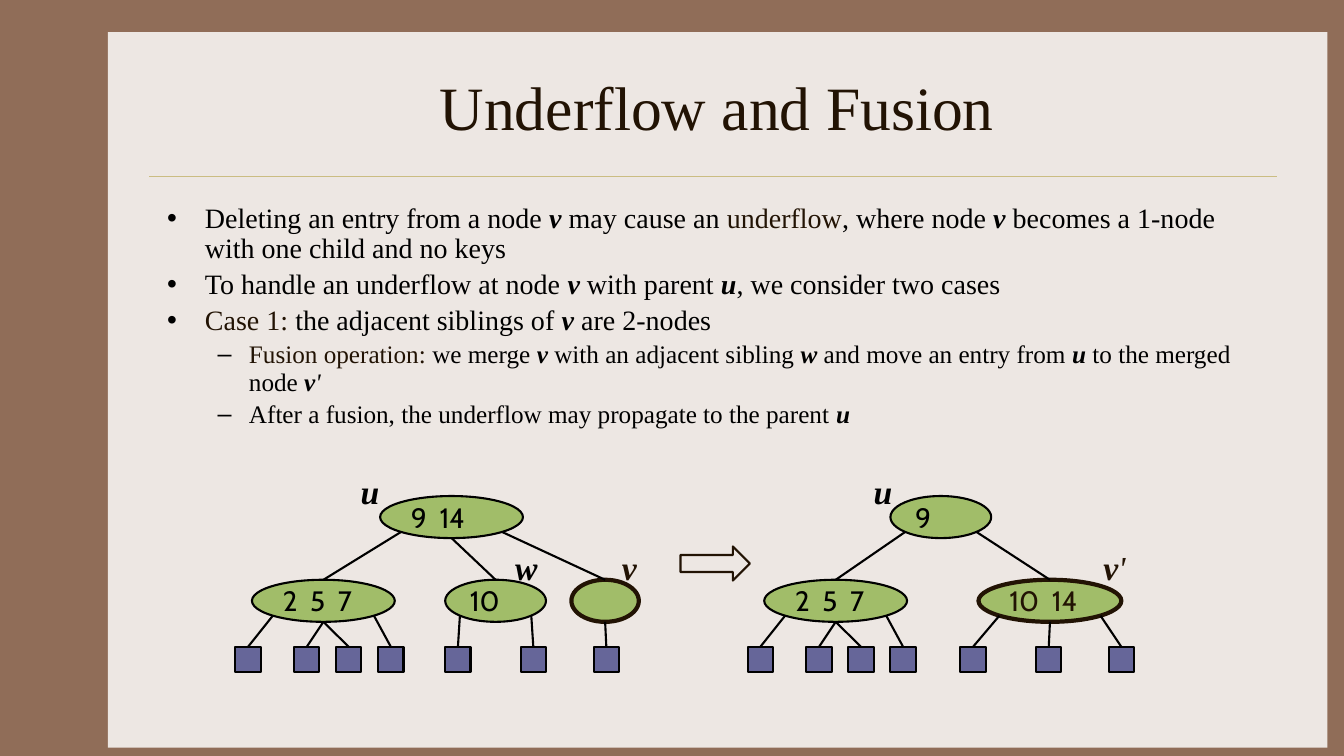
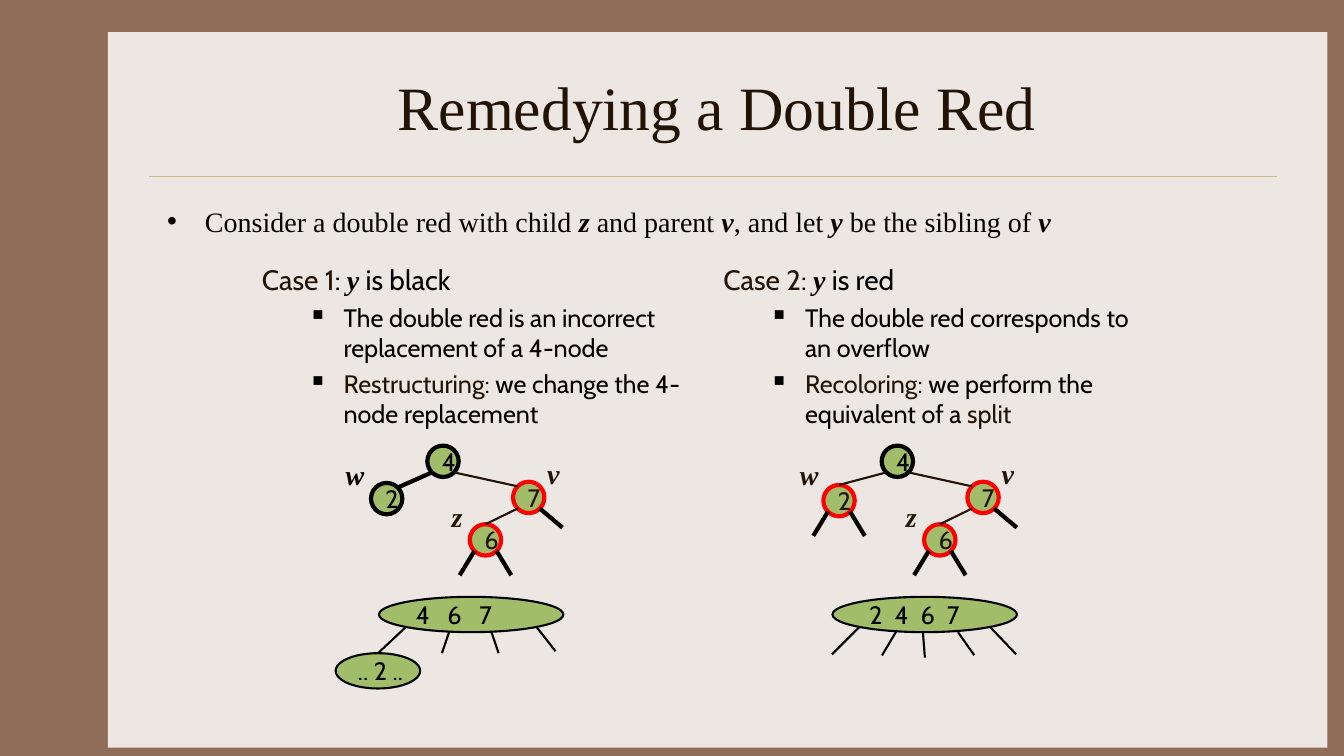
from dataclasses import dataclass

from lxml import etree
from pptx import Presentation
from pptx.dml.color import RGBColor
from pptx.enum.shapes import MSO_CONNECTOR, MSO_SHAPE
from pptx.enum.text import MSO_ANCHOR, MSO_AUTO_SIZE, PP_ALIGN
from pptx.oxml.ns import qn
from pptx.util import Cm, Pt

STRAIGHT = MSO_CONNECTOR.STRAIGHT
OVAL, BOX, ARROW = MSO_SHAPE.OVAL, MSO_SHAPE.RECTANGLE, MSO_SHAPE.RIGHT_ARROW
MIDDLE, TOP = MSO_ANCHOR.MIDDLE, MSO_ANCHOR.TOP
LEFT, CENTER = PP_ALIGN.LEFT, PP_ALIGN.CENTER
NO_FIT = MSO_AUTO_SIZE.NONE


@dataclass(frozen=True)
class Theme:
    border: str = "906D58"
    panel: str = "EDE7E3"
    rule: str = "CBBD83"
    accent: str = "221304"
    ink: str = "000000"
    node: str = "A1BD69"
    leaf: str = "666699"
    red: str = "FF0000"
    serif: str = "Times New Roman"
    sans: str = "Cabin"
    title: int = 44
    label: int = 24
    text: int = 20
    subtext: int = 18
    thin: float = 1.5
    thick: float = 3
    paragraph_gap: float = 4


THEME = Theme()

# Characters that switch a style on and off inside a text
MARKS = {"*": "variable", "|": "accent", "~": "italic"}

# Bullet character, size in percent, left margin and hanging indent by kind of paragraph
BULLETS = {
    "point": ("•", 100, 0.95, -0.95),
    "dash": ("–", 100, 2.06, -0.79),
    "square": ("■", 60, 2.06, -0.79),
    "heading": (None, 100, 0.95, -0.95),
}

# Places on an ellipse, as shares of its width and height
TOP_MID, BOTTOM_MID = (0.5, 0), (0.5, 1)
TOP_LEFT, TOP_RIGHT = (0.146, 0.146), (0.854, 0.146)
BOTTOM_LEFT, BOTTOM_RIGHT = (0.146, 0.854), (0.854, 0.854)


def set_all(target, values):
    for name, value in values.items():
        setattr(target, name, value)


def rgb(colour):
    return RGBColor.from_string(colour)


def styled_parts(text):
    """Yield each stretch of text with the set of styles its marks switch on."""
    active, part = set(), ""
    for character in text:
        if character in MARKS:
            if part:
                yield part, set(active)
            active ^= {MARKS[character]}
            part = ""
        else:
            part += character
    if part:
        yield part, active


class Deck:
    def __init__(self, theme):
        self.theme = theme
        self.prs = Presentation()
        set_all(self.prs, {"slide_width": Cm(33.87), "slide_height": Cm(19.05)})
        self.layout = self.prs.slide_layouts[1]
        for footer in list(self.layout.placeholders)[2:]:
            self.layout.shapes.element.remove(footer.element)
        self.slide = None

    def add_slide(self, title):
        first = self.slide is None
        self.slide = self.prs.slides.add_slide(self.layout)
        if first:
            self.frame()
        heading = self.slide.shapes.title
        set_all(heading, {"left": Cm(3.96), "top": Cm(1.07), "width": Cm(28.22), "height": Cm(3.18)})
        set_all(heading.text_frame, {"vertical_anchor": MIDDLE, "auto_size": NO_FIT})
        paragraph = heading.text_frame.paragraphs[0]
        paragraph.alignment = CENTER
        self.add_text(paragraph, f"|{title}|", self.theme.title)

    def frame(self):
        """Give the layout its background, panel and title rule."""
        background = self.layout.background.fill
        background.solid()
        background.fore_color.rgb = rgb(self.theme.border)
        panel = self.shape(BOX, 2.72, 0.81, 30.73, 18.03, self.theme.panel)
        rule = self.line((Cm(3.76), Cm(4.45)), (Cm(32.18), Cm(4.45)), self.theme.rule, 0.25)
        for position, part in enumerate((panel, rule), start=2):
            self.layout.shapes.element.insert(position, part.element)

    def add_text(self, paragraph, text, size, font=None, colour=None):
        for part, styles in styled_parts(text):
            run = paragraph.add_run()
            run.text = part
            variable = "variable" in styles
            set_all(run.font, {
                "name": self.theme.serif if variable else font or self.theme.serif,
                "size": Pt(size),
                "bold": variable,
                "italic": variable or "italic" in styles,
            })
            accent = self.theme.accent if "accent" in styles else self.theme.ink
            run.font.color.rgb = rgb(colour or accent)

    def outline(self, frame, items, font, line_spacing):
        """Fill a text frame with (kind, text) paragraphs."""
        set_all(frame, {"word_wrap": True, "auto_size": NO_FIT, "vertical_anchor": TOP,
                        "margin_top": Pt(3.6 + self.theme.paragraph_gap)})
        for number, (kind, text) in enumerate(items):
            paragraph = frame.add_paragraph() if number else frame.paragraphs[0]
            bullet, percent, margin, indent = BULLETS[kind]
            sub = kind in ("dash", "square")
            set_all(paragraph, {
                "level": int(sub),
                "alignment": LEFT,
                "line_spacing": line_spacing,
                "space_before": Pt(self.theme.paragraph_gap if number else 0),
            })
            properties = paragraph._p.get_or_add_pPr()
            properties.set("marL", str(Cm(margin)))
            properties.set("indent", str(Cm(indent)))
            if bullet:
                colour = etree.SubElement(properties, qn("a:buClr"))
                etree.SubElement(colour, qn("a:srgbClr"), val=self.theme.ink)
                etree.SubElement(properties, qn("a:buSzPct"), val=str(percent * 1000))
                etree.SubElement(properties, qn("a:buChar"), char=bullet)
            else:
                etree.SubElement(properties, qn("a:buNone"))
            self.add_text(paragraph, text, self.theme.subtext if sub else self.theme.text, font)

    def body(self, items, line_spacing=1.0):
        body = self.slide.placeholders[1]
        set_all(body, {"left": Cm(3.96), "top": Cm(4.88), "width": Cm(28.22), "height": Cm(11.43)})
        self.outline(body.text_frame, items, self.theme.serif, line_spacing)

    def case(self, left, width, items):
        box = self.slide.shapes.add_textbox(Cm(left), Cm(6.35), Cm(width), Cm(4.65))
        self.outline(box.text_frame, items, self.theme.sans, 1.0)

    def label(self, text, left, top, size, box=(0.56, 1.02), inset=(0, 0)):
        label = self.slide.shapes.add_textbox(Cm(left), Cm(top), Cm(box[0]), Cm(box[1]))
        frame = label.text_frame
        across, down = Cm(inset[0]), Cm(inset[1])
        set_all(frame, {"word_wrap": False, "margin_left": across, "margin_right": across,
                        "margin_top": down, "margin_bottom": down})
        frame.paragraphs[0].alignment = LEFT
        self.add_text(frame.paragraphs[0], text, size)

    def shape(self, preset, left, top, width, height, fill=None, line=None, weight=THEME.thin):
        shape = self.slide.shapes.add_shape(preset, Cm(left), Cm(top), Cm(width), Cm(height))
        shape.shadow.inherit = False
        if fill:
            shape.fill.solid()
            shape.fill.fore_color.rgb = rgb(fill)
        else:
            shape.fill.background()
        if line:
            shape.line.color.rgb = rgb(line)
            shape.line.width = Pt(weight)
        else:
            shape.line.fill.background()
        return shape

    def node(self, keys, left, top, width, height, size, line=THEME.ink, weight=THEME.thin,
             colour=THEME.ink, gap=4.5):
        """Draw an ellipse whose keys stand apart by a space widened by gap points."""
        node = self.shape(OVAL, left, top, width, height, self.theme.node, line, weight)
        set_all(node.text_frame, {"word_wrap": False, "vertical_anchor": MIDDLE})
        paragraph = node.text_frame.paragraphs[0]
        paragraph.alignment = LEFT
        for number, key in enumerate(keys.split()):
            if number:
                self.add_text(paragraph, " ", size, self.theme.sans, colour)
                paragraph.runs[-1].font._element.set("spc", str(int(gap * 100)))
            self.add_text(paragraph, key, size, self.theme.sans, colour)
        return node

    def line(self, start, end, colour=THEME.ink, weight=THEME.thin):
        line = self.slide.shapes.add_connector(STRAIGHT, *start, *end)
        line.line.color.rgb = rgb(colour)
        line.line.width = Pt(weight)
        etree.SubElement(line.element.spPr, qn("a:effectLst"))
        return line

    @staticmethod
    def port(shape, place):
        return (int(shape.left + shape.width * place[0]), int(shape.top + shape.height * place[1]))

    def edge(self, parent, start, child, end=TOP_MID, **style):
        self.line(self.port(parent, start), self.port(child, end), **style)

    def stub(self, node, place, across, down, **style):
        """Draw a branch that ends in the open."""
        x, y = self.port(node, place)
        self.line((x, y), (x + Cm(across), y + Cm(down)), **style)


def fusion_slide(deck):
    theme = deck.theme
    deck.add_slide("Underflow and Fusion")
    deck.body([
        ("point", "Deleting an entry from a node *v* may cause an |underflow|, where node *v* "
                  "becomes a 1-node with one child and no keys"),
        ("point", "To handle an underflow at node *v* with parent *u*, we consider two cases"),
        ("point", "|Case 1:| the adjacent siblings of *v* are 2-nodes"),
        ("dash", "|Fusion operation:| we merge *v* with an adjacent sibling *w* and move an entry "
                 "from *u* to the merged node *v*~'~"),
        ("dash", "After a fusion, the underflow may propagate to the parent *u*"),
    ], line_spacing=0.9)

    root_top, child_top, leaf_top, node_height, leaf_side = 12.5, 14.61, 16.3, 1.06, 0.64
    wide, medium, narrow = 3.6, 2.54, 1.7
    changed = {"line": theme.accent, "weight": theme.thick, "colour": theme.accent}
    four_leaves = [(-0.42, BOTTOM_LEFT), (1.06, BOTTOM_MID), (2.12, BOTTOM_MID), (3.18, BOTTOM_RIGHT)]
    two_leaves = [(0, BOTTOM_LEFT), (1.9, BOTTOM_RIGHT)]
    three_leaves = [(-0.46, BOTTOM_LEFT), (1.45, BOTTOM_MID), (3.28, BOTTOM_RIGHT)]
    # Each tree: root keys, left, width; children: place on root, keys, left, width, leaves, style
    trees = [
        (("9 14", 9.58, wide), [
            (BOTTOM_LEFT, "2 5 7", 6.35, wide, four_leaves, {}),
            (BOTTOM_MID, "10", 11.22, medium, two_leaves, {}),
            (BOTTOM_RIGHT, "", 14.4, narrow, [(0.56, BOTTOM_MID)], changed),
        ]),
        (("9", 22.44, medium), [
            (BOTTOM_LEFT, "2 5 7", 19.26, wide, four_leaves, {}),
            (BOTTOM_RIGHT, "10 14", 24.66, wide, three_leaves, changed),
        ]),
    ]
    for (root_keys, root_left, root_width), children in trees:
        root = deck.node(root_keys, root_left, root_top, root_width, node_height, theme.text)
        for place, keys, left, width, leaves, style in children:
            child = deck.node(keys, left, child_top, width, node_height, theme.text, **style)
            deck.edge(root, place, child)
            for offset, leaf_place in leaves:
                leaf = deck.shape(BOX, left + offset, leaf_top, leaf_side, leaf_side,
                                  theme.leaf, theme.ink)
                deck.edge(child, leaf_place, leaf)

    for text, left, top in [("*u*", 9.09, 11.86), ("*u*", 22.02, 11.86), ("*w*", 12.98, 13.77),
                            ("|*v*|", 15.67, 13.77), ("|*v*~'~|", 27.81, 13.77)]:
        deck.label(text, left, top, theme.label)
    deck.shape(ARROW, 17.15, 13.77, 1.75, 0.86, line=theme.accent)


def double_red_slide(deck):
    theme = deck.theme
    deck.add_slide("Remedying a Double Red")
    deck.body([("point", "Consider a double red with child *z* and parent *v*, "
                         "and let *y* be the sibling of *v*")])
    deck.case(6.35, 11.43, [
        ("heading", "|Case 1|: *y* is black"),
        ("square", "The double red is an incorrect replacement of a 4-node"),
        ("square", "|Restructuring|: we change the 4-node replacement"),
    ])
    deck.case(17.98, 10.8, [
        ("heading", "|Case 2|: *y* is red"),
        ("square", "The double red corresponds to an overflow"),
        ("square", "|Recoloring|: we perform the equivalent of a |split|"),
    ])

    black = {"weight": theme.thick}
    red = {"line": theme.red, "weight": theme.thick, "colour": theme.accent}
    red_edge = {"colour": theme.accent}

    def circle(key, left, top, style):
        return deck.node(key, left, top, 0.79, 0.79, theme.subtext, **style)

    def fork(node):
        for place, across in ((BOTTOM_LEFT, -0.37), (BOTTOM_RIGHT, 0.37)):
            deck.stub(node, place, across, 0.61, **black)

    def cluster(keys, left, gap, stubs):
        node = deck.node(keys, left, 15.04, 4.65, 0.89, theme.subtext, gap=gap)
        for place, across, down in stubs:
            deck.stub(node, place, across, down)
        return node

    first, second = 0, 11.45
    tops = {}
    for shift, w_label in ((first, "*w*"), (second, "|*w*|")):
        tops[shift] = top = circle("4", shift + 10.77, 11.23, black)
        v = circle("7", shift + 12.93, 12.14, red)
        z = circle("6", shift + 11.84, 13.21, red)
        deck.edge(top, BOTTOM_RIGHT, v, TOP_LEFT, **red_edge)
        deck.edge(v, BOTTOM_LEFT, z, **red_edge)
        deck.stub(v, BOTTOM_RIGHT, 0.57, 0.48, **black)
        fork(z)
        for text, left, label_top in ((w_label, 8.46, 11.4), ("|*v*|", 13.54, 11.38),
                                      ("|*z*|", 11.13, 12.45)):
            deck.label(text, shift + left, label_top, theme.text, (0.95, 1.09), (0.25, 0.13))

    black_w = circle("2", 9.35, 12.17, black)
    deck.edge(tops[first], BOTTOM_LEFT, black_w, TOP_RIGHT, **black)
    red_w = circle("2", 20.75, 12.22, red)
    deck.edge(tops[second], BOTTOM_LEFT, red_w, **red_edge)
    fork(red_w)

    four_node = cluster("4 6 7", 9.55, 8.5, [
        ((0.38, 1), -0.18, 0.53), ((0.61, 1), 0.18, 0.53), (BOTTOM_RIGHT, 0.48, 0.61)])
    sibling = deck.node(".. 2 ..", 8.46, 16.46, 2.13, 0.89, theme.subtext, gap=0)
    deck.edge(four_node, BOTTOM_LEFT, sibling)
    cluster("2 4 6 7", 20.98, 4.5, [
        (BOTTOM_LEFT, -0.69, 0.69), ((0.35, 0.94), -0.38, 0.64), ((0.49, 1), 0.05, 0.64),
        ((0.68, 1), 0.41, 0.58), (BOTTOM_RIGHT, 0.66, 0.69)])


def main():
    deck = Deck(THEME)
    fusion_slide(deck)
    double_red_slide(deck)
    deck.prs.save("out.pptx")


if __name__ == "__main__":
    main()
